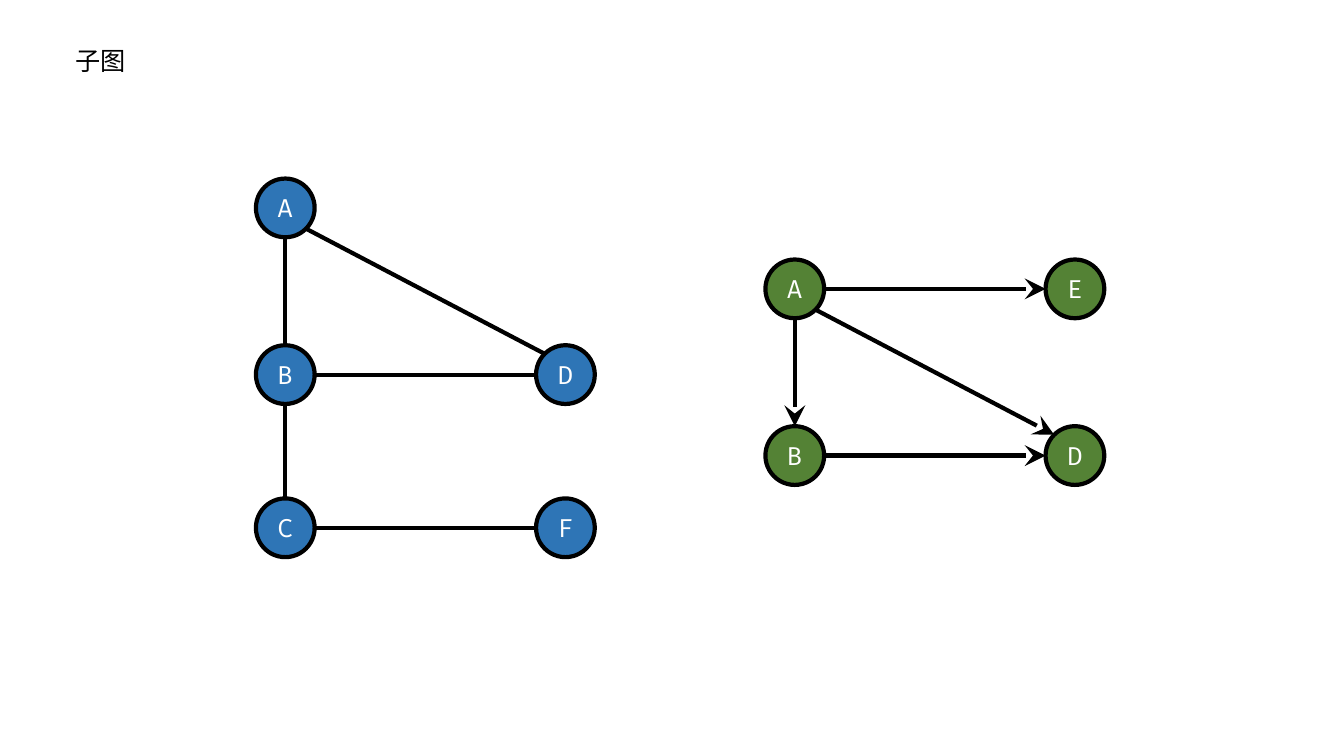
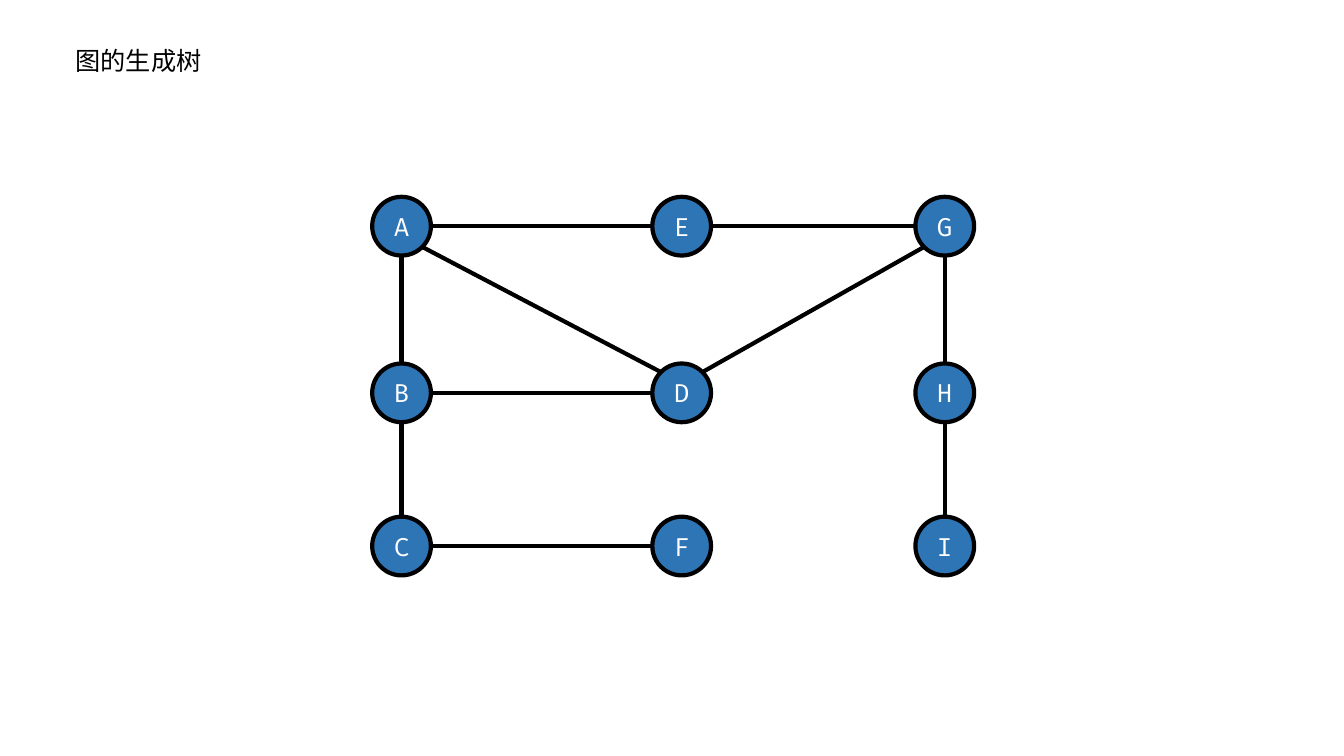
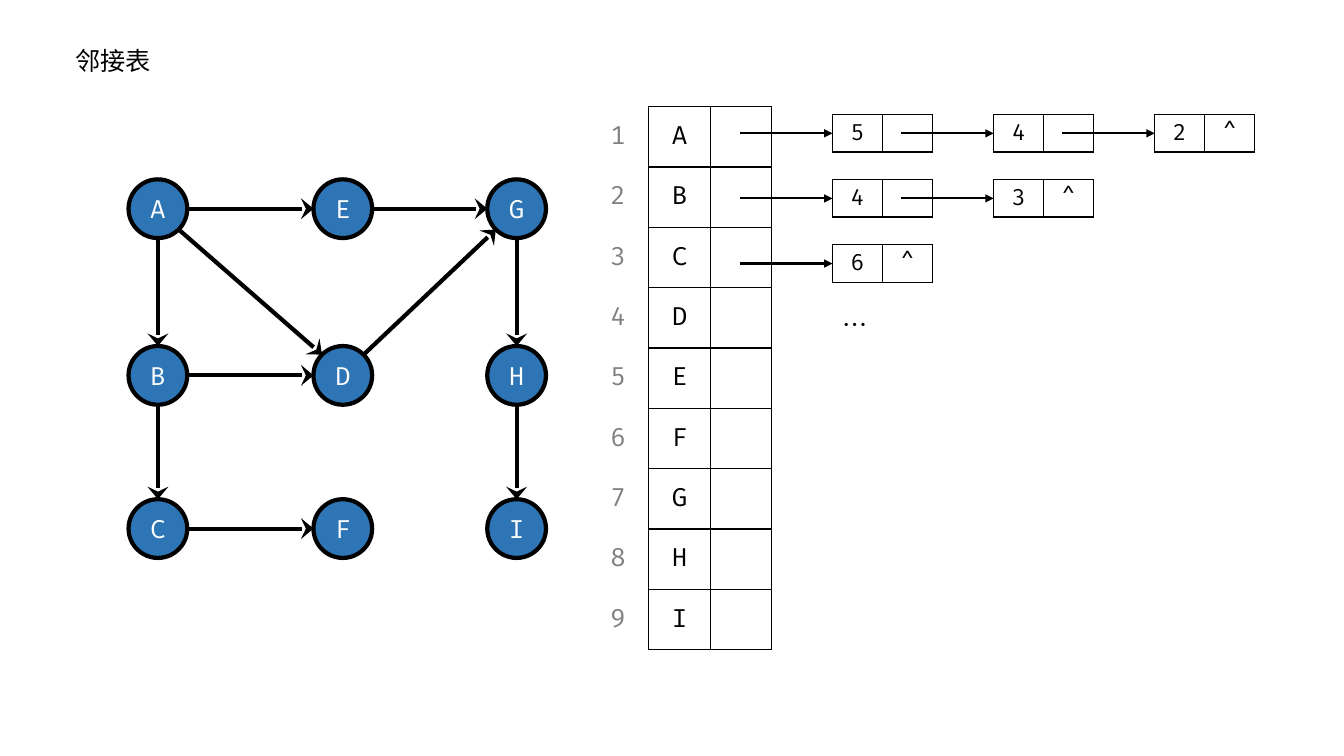
from math import hypot

from lxml.etree import SubElement as Sub
from pptx import Presentation
from pptx.dml.color import RGBColor as Rgb
from pptx.enum.shapes import MSO_CONNECTOR as Link, MSO_SHAPE as Kind
from pptx.enum.text import MSO_ANCHOR as Anchor, MSO_AUTO_SIZE as Fit, PP_ALIGN as Align
from pptx.oxml.ns import qn
from pptx.util import Cm, Pt

INK = {"black": "000000", "white": "FFFFFF", "blue": "2E75B6",
       "green": "548235", "gray": "808080"}
CODE, SANS = "Fira Code", "Noto Sans CJK SC"

# Graph grid: where each letter sits, and the row offsets in cm
GRID = ("AEG", "BDH", "CFI")
ROWS = (0, 4.2, 8.06)
WIDE = (0, 7.06, 13.69)
SLIM = (0, 4.66, 9.04)
SIZE = 1.48  # node diameter

FULL = "AB BC AE EG AD BD DG GH HI CF"


def color(name):
    return Rgb.from_string(INK[name])


def put(frame, text, font, size, ink, align):
    """Add one formatted run to the first paragraph of a text frame."""
    para = frame.paragraphs[0]
    para.alignment = align
    run = para.add_run()
    run.text = text
    run.font.size = Pt(size)
    run.font.bold = False
    run.font.color.rgb = color(ink)
    run.font.name = font
    Sub(run.font._element, qn("a:ea"), typeface=font)


def join(slide, start, end, width, head=None):
    """Draw a straight line; head is (type, width, length)."""
    line = slide.shapes.add_connector(
        Link.STRAIGHT, *(Cm(v) for v in (*start, *end)))
    line.line.color.rgb = color("black")
    line.line.width = Pt(width)
    props = line._element.spPr
    if head:
        kind, wide, long = head
        Sub(props.find(qn("a:ln")), qn("a:tailEnd"), type=kind, w=wide, len=long)
    Sub(props, qn("a:effectLst"))


def node(slide, x, y, name, fill):
    dot = slide.shapes.add_shape(Kind.OVAL, Cm(x), Cm(y), Cm(SIZE), Cm(SIZE))
    dot.shadow.inherit = False
    dot.fill.solid()
    dot.fill.fore_color.rgb = color(fill)
    dot.line.color.rgb = color("black")
    dot.line.width = Pt(3)
    frame = dot.text_frame
    frame.word_wrap = False
    frame.vertical_anchor = Anchor.MIDDLE
    put(frame, name, CODE, 18, "white", Align.CENTER)


def sign(value):
    return (value > 0) - (value < 0)


def graph(slide, x, y, cols, names, edges, fill="blue", head=None):
    """Draw nodes and edges in a box whose top left corner is x, y."""
    spots = {name: (x + cols[c], y + ROWS[r])
             for r, row in enumerate(GRID)
             for c, name in enumerate(row) if name in names}
    for name, (left, top) in spots.items():
        node(slide, left, top, name, fill)
    # Edges meet the circles at one of eight compass points
    half = SIZE / 2
    for a, b in edges.split():
        (ax, ay), (bx, by) = spots[a], spots[b]
        dx, dy = sign(round(bx - ax, 2)), sign(round(by - ay, 2))
        reach = half / hypot(dx, dy)
        join(slide,
             (ax + half + dx * reach, ay + half + dy * reach),
             (bx + half - dx * reach, by + half - dy * reach), 3, head)


def edge(cell, ruled):
    """Set the four borders of a cell, black or none."""
    props = cell._tc.get_or_add_tcPr()
    for side in ("lnL", "lnR", "lnT", "lnB"):
        line = Sub(props, qn("a:" + side), w=str(Pt(1)))
        if ruled:
            fill = Sub(line, qn("a:solidFill"))
            Sub(fill, qn("a:srgbClr"), val=INK["black"])
        else:
            Sub(line, qn("a:noFill"))


def table(slide, x, y, rows, wide, high, size=18, ink="black", ruled=True):
    """Place a plain table; rows are sequences of cell texts."""
    count, span = len(rows), len(rows[0])
    grid = slide.shapes.add_table(
        count, span, Cm(x), Cm(y), Cm(wide * span), Cm(high * count)).table
    grid.first_row = grid.horz_banding = False
    for col in grid.columns:
        col.width = Cm(wide)
    for r, row in enumerate(rows):
        grid.rows[r].height = Cm(high)
        for c, text in enumerate(row):
            cell = grid.cell(r, c)
            edge(cell, ruled)
            cell.fill.background()
            cell.vertical_anchor = Anchor.MIDDLE
            cell.margin_top = cell.margin_bottom = Cm(0.07)
            if text:
                put(cell.text_frame, text, CODE, size, ink, Align.CENTER)


def chain(slide, x, y, items):
    """Draw one linked list, each cell pair led in by an arrow."""
    high, step, lead = 0.94, 4.06, 2.34
    for i, item in enumerate(items):
        left, mid = x + i * step, y + high / 2
        last = i == len(items) - 1
        table(slide, left, y, [(item, "^" if last else "")], 1.26, high, 16)
        join(slide, (left - lead, mid), (left, mid), 1.5,
             ("triangle", "med", "med"))


def lists(slide, x, y):
    """Draw the adjacency list: numbers, vertices and chains."""
    wide, high = 1.55, 1.52
    names = sorted("".join(GRID))
    table(slide, x, y, [str(i + 1) for i in range(len(names))], wide, high,
          ink="gray", ruled=False)
    table(slide, x + wide, y, [(name, "") for name in names], wide, high)
    left = x + 6.18
    for i, items in enumerate(("542", "43", "6")):
        chain(slide, left, y + 0.2 + i * 1.64, items)
    more = slide.shapes.add_textbox(Cm(left), Cm(y + 4.98), Cm(4.98), Cm(1.02))
    more.text_frame.word_wrap = True
    put(more.text_frame, "…", SANS, 18, "black", Align.LEFT)


def page(deck, text):
    """Add a slide with the shared title style."""
    slide = deck.slides.add_slide(deck.slide_layouts[5])
    title = slide.shapes.title
    title.left, title.top = Cm(1.65), Cm(1.02)
    title.width, title.height = Cm(4.98), Cm(1.02)
    frame = title.text_frame
    frame.word_wrap = True
    frame.auto_size = Fit.SHAPE_TO_FIT_TEXT
    frame.vertical_anchor = Anchor.TOP
    put(frame, text, SANS, 18, "black", Align.LEFT)
    return slide


def main():
    deck = Presentation()
    deck.slide_width, deck.slide_height = Cm(33.87), Cm(19.05)

    # Subgraphs
    slide = page(deck, "子图")
    graph(slide, 6.45, 4.5, WIDE, "ABCDF", "AB BC BD CF AD")
    graph(slide, 19.29, 6.54, WIDE, "ABDE", "AB AE BD AD", "green",
          ("stealth", "lg", "lg"))

    # Spanning tree
    slide = page(deck, "图的生成树")
    graph(slide, 9.38, 4.96, WIDE, "ABCDEFGHI", FULL)

    # Adjacency list
    slide = page(deck, "邻接表")
    lists(slide, 14.8, 2.69)
    graph(slide, 3.24, 4.52, SLIM, "ABCDEFGHI", FULL,
          head=("stealth", "lg", "med"))

    deck.save("out.pptx")


if __name__ == "__main__":
    main()
